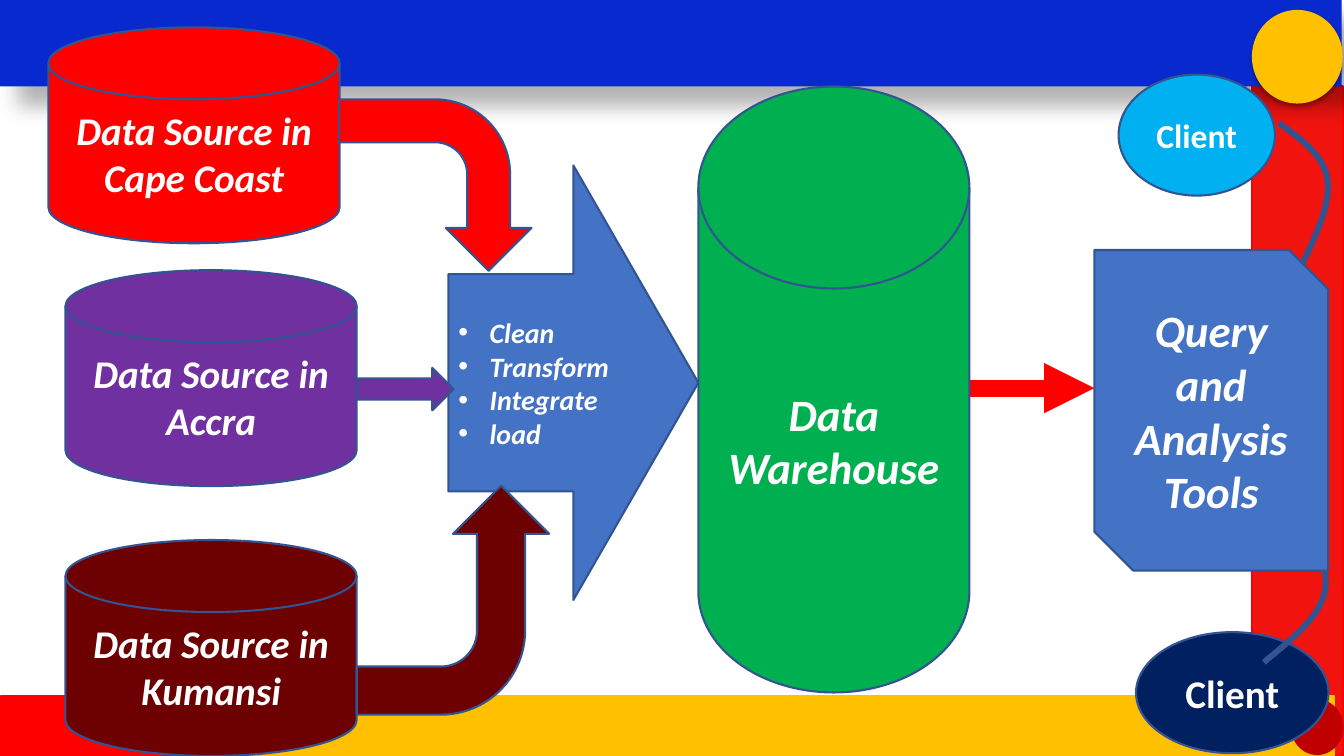
from lxml import etree
from pptx import Presentation
from pptx.dml.color import RGBColor
from pptx.enum.shapes import MSO_CONNECTOR, MSO_SHAPE
from pptx.enum.text import MSO_ANCHOR, PP_ALIGN
from pptx.oxml.ns import qn
from pptx.util import Cm, Pt

RECTANGLE = MSO_SHAPE.RECTANGLE
ROUNDED = MSO_SHAPE.ROUNDED_RECTANGLE
OVAL = MSO_SHAPE.OVAL
DISK = MSO_SHAPE.FLOWCHART_MAGNETIC_DISK
RIGHT_ARROW = MSO_SHAPE.RIGHT_ARROW
BENT_ARROW = MSO_SHAPE.BENT_ARROW
SNIPPED = MSO_SHAPE.SNIP_2_DIAG_RECTANGLE
STRAIGHT = MSO_CONNECTOR.STRAIGHT
MIDDLE = MSO_ANCHOR.MIDDLE
CENTER, JUSTIFY = PP_ALIGN.CENTER, PP_ALIGN.JUSTIFY

WHITE = RGBColor(0xFF, 0xFF, 0xFF)
RED = RGBColor(0xFF, 0x00, 0x00)
STRIP_RED = RGBColor(0xF0, 0x13, 0x0E)
DARK_RED = RGBColor(0xC0, 0x00, 0x00)
MAROON = RGBColor(0x6D, 0x00, 0x00)
PURPLE = RGBColor(0x70, 0x30, 0xA0)
GOLD = RGBColor(0xFF, 0xC0, 0x00)
GREEN = RGBColor(0x00, 0xB0, 0x50)
BLUE = RGBColor(0x44, 0x72, 0xC4)
HEADER_BLUE = RGBColor(0x08, 0x29, 0xCE)
SKY = RGBColor(0x00, 0xB0, 0xF0)
NAVY = RGBColor(0x00, 0x20, 0x60)
OUTLINE = RGBColor(0x32, 0x54, 0x91)
FONT = "Calibri"


def add_part(page, kind, box, fill, line=OUTLINE):
    """Add a preset shape; box is left, top, width, height in centimetres."""
    part = page.shapes.add_shape(kind, *(Cm(length) for length in box))
    part.shadow.inherit = False
    part.fill.solid()
    part.fill.fore_color.rgb = fill
    if line is None:
        part.line.fill.background()
    else:
        part.line.color.rgb = line
        part.line.width = Pt(1.5)
    return part


def add_shadow(part, opacity, blur, distance, angle):
    effects = part.element.spPr.find(qn("a:effectLst"))
    shadow = etree.SubElement(effects, qn("a:outerShdw"), blurRad=str(Pt(blur)),
                              dist=str(Pt(distance)), dir=str(angle * 60000),
                              algn="ctr", rotWithShape="0")
    color = etree.SubElement(shadow, qn("a:srgbClr"), val="000000")
    etree.SubElement(color, qn("a:alpha"), val=str(opacity * 1000))


def write(part, lines, size, italic=True, align=CENTER):
    frame = part.text_frame
    frame.word_wrap = True
    frame.vertical_anchor = MIDDLE
    for index, line in enumerate(lines):
        para = frame.add_paragraph() if index else frame.paragraphs[0]
        para.alignment = align
        span = para.add_run()
        span.text = line
        span.font.name = FONT
        span.font.size = Pt(size)
        span.font.bold = True
        span.font.italic = italic
        span.font.color.rgb = WHITE


def add_bullets(part, indent):
    for para in part.text_frame.paragraphs:
        properties = para._p.get_or_add_pPr()
        properties.set("marL", str(indent))
        properties.set("indent", str(-indent))
        etree.SubElement(properties, qn("a:buFont"), typeface="Arial")
        etree.SubElement(properties, qn("a:buChar"), char="•")


def draw_frame(page, width, height):
    """Draw the coloured bands and circles around the slide's edges."""
    header, strip, footer_top, red_width = 2.18, 2.29, 17.55, 4.67
    strip_left = width - strip - 0.03
    add_part(page, RECTANGLE, (strip_left, header, strip, height - header), STRIP_RED, RED)
    band = add_part(page, RECTANGLE, (0, 0, width - 0.06, header), HEADER_BLUE, None)
    add_shadow(band, 30, 15, 18, 45)
    sun = add_part(page, OVAL, (strip_left, 0.25, strip, 2.36), GOLD, None)
    add_shadow(sun, 32, 3.5, 2.2, 90)
    footer_height = height - footer_top
    gold = add_part(page, ROUNDED, (4.7, footer_top, 28.91, footer_height), GOLD, GOLD)
    add_part(page, OVAL, (32.56, 17.65, 1.27, 1.35), DARK_RED, DARK_RED)
    red = add_part(page, ROUNDED, (0.03, footer_top, red_width, footer_height), RED, RED)
    for bar in (gold, red):
        bar.adjustments[0] = 0


def draw_sources(page):
    for town, left, top, fill in (("Cape Coast", 1.22, 0.69, RED),
                                  ("Accra", 1.65, 6.81, PURPLE),
                                  ("Kumansi", 1.65, 13.61, MAROON)):
        disk = add_part(page, DISK, (left, top, 7.34, 5.44), fill)
        write(disk, [f"Data Source in {town}"], 28)


def draw_loading(page, box):
    """Draw the processing arrow and the three arrows that feed it."""
    process = add_part(page, RIGHT_ARROW, box, BLUE)
    write(process, ["Clean", "Transform", "Integrate", "load"], 20, align=JUSTIFY)
    add_bullets(process, Cm(0.79))
    left, top = box[:2]
    upper = add_part(page, BENT_ARROW, (left - 2.49, top - 1.93, 4.32, 4.85), RED)
    upper.rotation = 90
    lower = add_part(page, BENT_ARROW, (left - 2.77, top + 8.53, 5.77, 4.85), MAROON)
    lower.rotation = 270
    lower.element.spPr.find(qn("a:xfrm")).set("flipV", "1")
    add_part(page, RIGHT_ARROW, (left - 2.31, top + 5.1, 2.44, 1.07), PURPLE)


def draw_query_arrow(page, start, end, y):
    arrow = page.shapes.add_connector(STRAIGHT, Cm(start), Cm(y), Cm(end), Cm(y))
    arrow.line.color.rgb = RED
    arrow.line.width = Pt(12)
    etree.SubElement(arrow.line._get_or_add_ln(), qn("a:tailEnd"), type="triangle")
    etree.SubElement(arrow.element.spPr, qn("a:effectLst"))


def bezier(points, t):
    """Return the point at t on a cubic curve with four control points."""
    weights = ((1 - t) ** 3, 3 * t * (1 - t) ** 2, 3 * t ** 2 * (1 - t), t ** 3)
    return tuple(Cm(sum(weight * point[axis] for weight, point in zip(weights, points)))
                 for axis in (0, 1))


def draw_curve(page, points, steps=16):
    """Draw an open line through two cubic curves that share a point."""
    trail = [bezier(points[first:first + 4], step / steps)
             for first in (0, 3) for step in range(1, steps + 1)]
    builder = page.shapes.build_freeform(Cm(points[0][0]), Cm(points[0][1]))
    builder.add_line_segments(trail, close=False)
    curve = builder.convert_to_shape()
    curve.shadow.inherit = False
    curve.fill.background()
    curve.line.color.rgb = OUTLINE
    curve.line.width = Pt(4.25)


def draw_clients(page):
    for box, fill, size in (((28.19, 1.88, 3.94, 3.05), SKY, 24),
                            ((28.63, 15.93, 4.85, 3.05), NAVY, 28)):
        write(add_part(page, OVAL, box, fill), ["Client"], size, italic=False)
    draw_curve(page, [(32.23, 3.1), (32.79, 3.51), (33.35, 3.91), (33.45, 4.5),
                      (33.55, 5.08), (33.2, 5.87), (32.82, 6.65)])
    draw_curve(page, [(32.92, 13.23), (33.22, 13.84), (33.55, 14.48), (33.35, 15.04),
                      (33.17, 15.62), (32.51, 16.15), (31.85, 16.69)])


def main():
    width, height = 33.87, 19.05
    deck = Presentation()
    deck.slide_width, deck.slide_height = Cm(width), Cm(height)
    page = deck.slides.add_slide(deck.slide_layouts[6])
    draw_frame(page, width, height)
    draw_sources(page)
    draw_loading(page, (11.3, 4.17, 6.3, 10.95))
    draw_query_arrow(page, 24.43, 27.58, 9.78)
    draw_clients(page)
    tools = add_part(page, SNIPPED, (27.58, 6.3, 5.89, 8.08), BLUE)
    write(tools, ["Query and Analysis Tools"], 32)
    warehouse = add_part(page, DISK, (17.6, 2.18, 6.83, 15.27), GREEN)
    write(warehouse, ["Data Warehouse"], 32)
    deck.save("out.pptx")


if __name__ == "__main__":
    main()
